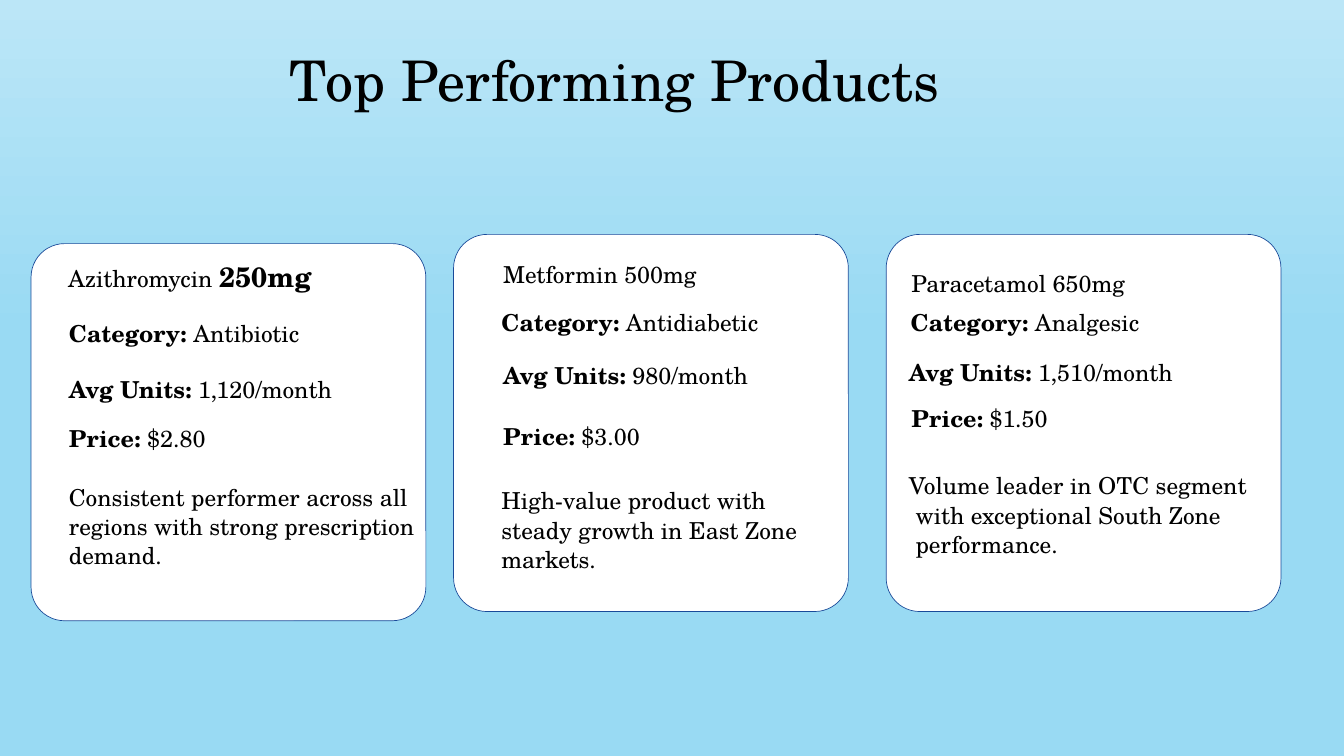
from pptx import Presentation
from pptx.dml.color import RGBColor
from pptx.enum.shapes import MSO_SHAPE
from pptx.enum.text import MSO_ANCHOR, MSO_AUTO_SIZE, PP_ALIGN
from pptx.util import Inches, Pt

ROUNDED = MSO_SHAPE.ROUNDED_RECTANGLE
TOP = MSO_ANCHOR.TOP
LEFT = PP_ALIGN.LEFT
NO_AUTOFIT = MSO_AUTO_SIZE.NONE

FONT = "TeX Gyre Schola"
COLORS = {
    "sky_top": "BBE6F7",
    "sky": "99DAF3",
    "card": "FFFFFF",
    "card_line": "194A99",
    "text": "000000",
}
TITLE_ONLY = 5
CARD_WIDTH, CARD_HEIGHT = 4.7, 4.49
LINE_WIDTH, LINE_HEIGHT = 3.68, 0.35
NO_INSETS = {"margin_left": 0, "margin_top": 0, "margin_right": 0, "margin_bottom": 0}

# Each text is listed with its offset from the top left corner of its card.
PRODUCTS = [
    {
        "corner": (0.37, 2.9),
        "name": ("Azithromycin ", "250mg", (0.44, 0.25)),
        "facts": [
            ("Category:", " Antibiotic", (0.45, 0.88)),
            ("Avg Units:", " 1,120/month", (0.45, 1.55)),
            ("Price:", " $2.80", (0.45, 2.14)),
        ],
        "summary": ["Consistent performer across all regions with strong prescription demand."],
        "summary_box": (0.45, 2.84, 4.25, 1.16),
    },
    {
        "corner": (5.4, 2.79),
        "name": ("Metformin 500mg", "", (0.59, 0.31)),
        "facts": [
            ("Category:", " Antidiabetic", (0.57, 0.87)),
            ("Avg Units:", " 980/month", (0.59, 1.49)),
            ("Price:", " $3.00", (0.59, 2.22)),
        ],
        "summary": ["High-value product with steady growth in East Zone markets."],
        "summary_box": (0.57, 2.99, 3.68, 1.04),
    },
    {
        "corner": (10.55, 2.79),
        "name": ("Paracetamol 650mg", "", (0.3, 0.41)),
        "facts": [
            ("Category:", " Analgesic", (0.29, 0.87)),
            ("Avg Units:", " 1,510/month", (0.27, 1.46)),
            ("Price:", " $1.50", (0.3, 2.01)),
        ],
        "summary": [
            "Volume leader in OTC segment",
            "with exceptional South Zone",
            "performance.",
        ],
        "summary_box": (0.27, 2.81, 4.3, 1.04),
    },
]


def rgb(key):
    return RGBColor.from_string(COLORS[key])


def set_all(target, values):
    for attribute, value in values.items():
        setattr(target, attribute, value)


def add_run(paragraph, text, size=20, bold=False):
    run = paragraph.add_run()
    run.text = text
    set_all(run.font, {"name": FONT, "size": Pt(size), "bold": bold})
    run.font.color.rgb = rgb("text")


def add_text_frame(slide, left, top, width, height):
    frame = slide.shapes.add_textbox(*map(Inches, (left, top, width, height))).text_frame
    set_all(frame, {**NO_INSETS, "word_wrap": True})
    return frame


def paint_background(slide):
    fill = slide.background.fill
    fill.gradient()
    fill.gradient_angle = 270
    for stop, (key, position) in zip(fill.gradient_stops, [("sky_top", 0), ("sky", 0.44)]):
        stop.color.rgb = rgb(key)
        stop.position = position


def fill_title(slide, text, left, top, width, height):
    title = slide.shapes.title
    box = {"left": left, "top": top, "width": width, "height": height}
    set_all(title, {side: Inches(length) for side, length in box.items()})
    set_all(title.text_frame, {"vertical_anchor": TOP, "auto_size": NO_AUTOFIT})
    heading = title.text_frame.paragraphs[0]
    set_all(heading, {"alignment": LEFT, "line_spacing": Pt(48.5)})
    add_run(heading, text, 48)


def add_summary(slide, lines, left, top, width, height):
    """Write the lines one below the other, all but the first slightly indented."""
    frame = add_text_frame(slide, left, top, width, height)
    for index, line in enumerate(lines):
        paragraph = frame.add_paragraph() if index else frame.paragraphs[0]
        paragraph.line_spacing = Pt(25)
        if index:
            paragraph._p.get_or_add_pPr().set("marL", str(Inches(0.08)))
        add_run(paragraph, line)


def add_product_card(slide, product, left, top, width, height):
    card = slide.shapes.add_shape(ROUNDED, *map(Inches, (left, top, width, height)))
    card.adjustments[0] = 0.089
    card.shadow.inherit = False
    card.fill.solid()
    card.fill.fore_color.rgb = rgb("card")
    card.line.color.rgb = rgb("card_line")
    card.line.width = Pt(0.6)

    name, dose, (x, y) = product["name"]
    heading = add_text_frame(slide, left + x, top + y, LINE_WIDTH, LINE_HEIGHT).paragraphs[0]
    heading.line_spacing = Pt(24)
    add_run(heading, name)
    if dose:
        add_run(heading, dose, 24, True)

    for label, value, (x, y) in product["facts"]:
        fact = add_text_frame(slide, left + x, top + y, LINE_WIDTH, LINE_HEIGHT).paragraphs[0]
        fact.line_spacing = Pt(25)
        add_run(fact, label, bold=True)
        add_run(fact, value)

    x, y, summary_width, summary_height = product["summary_box"]
    add_summary(slide, product["summary"], left + x, top + y, summary_width, summary_height)


def main():
    deck = Presentation()
    deck.slide_width, deck.slide_height = Inches(16), Inches(9)
    slide = deck.slides.add_slide(deck.slide_layouts[TITLE_ONLY])
    paint_background(slide)
    fill_title(slide, "Top Performing Products", 3.35, 0.62, 10.15, 0.79)
    for product in PRODUCTS:
        add_product_card(slide, product, *product["corner"], CARD_WIDTH, CARD_HEIGHT)
    deck.save("out.pptx")


if __name__ == "__main__":
    main()
